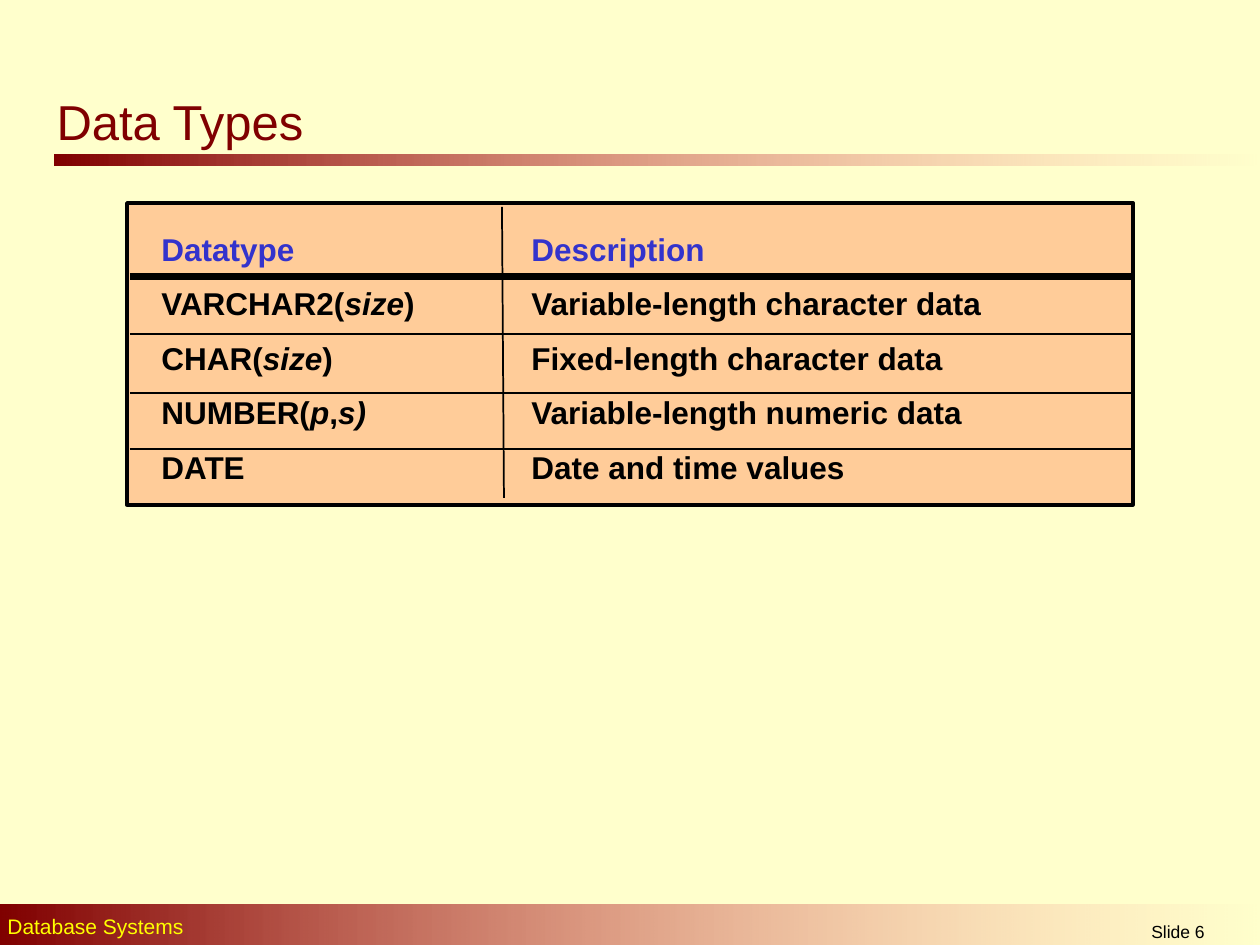
import pptx
import pptx.dml.color
import pptx.enum.shapes
import pptx.enum.text
import pptx.oxml
import pptx.oxml.ns
import pptx.util
from lxml import etree

RGB = pptx.dml.color.RGBColor
CREAM = RGB(0xFF, 0xFF, 0xCC)
MAROON = RGB(0x80, 0x00, 0x00)
ROSE = RGB(0xFF, 0x85, 0x85)
PEACH = RGB(0xFF, 0xCC, 0x99)
BLUE = RGB(0x33, 0x33, 0xCC)
YELLOW = RGB(0xFF, 0xFF, 0x00)
BLACK = RGB(0x00, 0x00, 0x00)
PX = 7257  # EMU per px, 126 px to the inch
RECTANGLE = pptx.enum.shapes.MSO_SHAPE.RECTANGLE
qn = pptx.oxml.ns.qn


def place(left, top, width, height):
    return [n * PX for n in (left, top, width, height)]


def write(paragraph, text, size, color, bold=False, align=None, tab=None):
    """Fill a paragraph; parts of the text between asterisks are italic."""
    if tab:
        tabs = etree.SubElement(paragraph._p.get_or_add_pPr(), qn("a:tabLst"))
        etree.SubElement(tabs, qn("a:tab"), pos=str(tab * PX), algn="l")
    paragraph.alignment = align
    for index, part in enumerate(text.split("*")):
        run = paragraph.add_run()
        run.text = part
        run.font.name = "Arial"
        run.font.size = pptx.util.Pt(size)
        run.font.color.rgb = color
        run.font.bold = bold
        run.font.italic = index % 2 == 1


deck = pptx.Presentation()
deck.slide_width = pptx.util.Inches(10)
deck.slide_height = pptx.util.Inches(7.5)
slide = deck.slides.add_slide(deck.slide_layouts[5])
slide.background.fill.solid()
slide.background.fill.fore_color.rgb = CREAM

# Bars under the title and along the foot, fading out to the right
for box in ((54, 155, 1206, 11), (0, 905, 1260, 40)):
    bar = slide.shapes.add_shape(RECTANGLE, *place(*box))
    bar.shadow.inherit = False
    bar.line.fill.background()
    bar.fill.gradient()
    bar.fill.gradient_angle = 0
    for stop, color in zip(bar.fill.gradient_stops, (MAROON, ROSE)):
        stop.color.rgb = color
    faded = bar.element.xpath(".//a:gs/a:srgbClr")[-1]
    etree.SubElement(faded, qn("a:alpha"), val="0")

# Footer
for text, box, size, color, align in (
    ("Database Systems", (-5, 907, 814, 38), 12, YELLOW, pptx.enum.text.PP_ALIGN.LEFT),
    ("Slide 6", (1096, 915, 164, 30), 10, BLACK, pptx.enum.text.PP_ALIGN.CENTER),
):
    footer = slide.shapes.add_textbox(*place(*box)).text_frame
    footer.word_wrap = True
    write(footer.paragraphs[0], text, size, color, align=align)

# Title
title = slide.shapes.title
title.left, title.top, title.width, title.height = place(44, 86, 287, 69)
title.text_frame.word_wrap = False
title.text_frame.vertical_anchor = pptx.enum.text.MSO_ANCHOR.MIDDLE
write(title.text_frame.paragraphs[0], "Data Types", 28, MAROON,
      align=pptx.enum.text.PP_ALIGN.LEFT)

# Panel with the list of datatypes
panel = slide.shapes.add_shape(RECTANGLE, *place(127, 203, 1006, 302))
panel.shadow.inherit = False
panel.fill.solid()
panel.fill.fore_color.rgb = PEACH
panel.line.color.rgb = BLACK
panel.line.width = pptx.util.Pt(2)

datatypes = slide.shapes.add_textbox(*place(149, 228, 948, 311)).text_frame
datatypes.word_wrap = True
rows = (
    "Datatype\tDescription",
    "VARCHAR2(*size*)\tVariable-length character data",
    "CHAR(*size*)\tFixed-length character data",
    "NUMBER(*p*,*s)*\tVariable-length numeric data",
    "DATE\tDate and time values",
)
for index, row in enumerate(rows):
    paragraph = datatypes.paragraphs[0] if index == 0 else datatypes.add_paragraph()
    write(paragraph, row, 18, BLACK if index else BLUE, bold=True, tab=370)
    paragraph.line_spacing = 0.9
    if index:
        paragraph.space_before = pptx.util.Pt(11.7)

# Rules between the rows and the columns
for x1, y1, x2, y2, weight in (
    (130, 277, 1134, 277, 4),
    (130, 334, 1134, 334, 1),
    (130, 393, 1134, 393, 1),
    (130, 449, 1134, 449, 1),
    (504, 498, 502, 207, 1),
):
    rule = slide.shapes.add_connector(
        pptx.enum.shapes.MSO_CONNECTOR.STRAIGHT, *place(x1, y1, x2, y2))
    rule.line.color.rgb = BLACK
    rule.line.width = pptx.util.Pt(weight)
    etree.SubElement(rule.element.spPr, qn("a:effectLst"))

deck.save("out.pptx")
